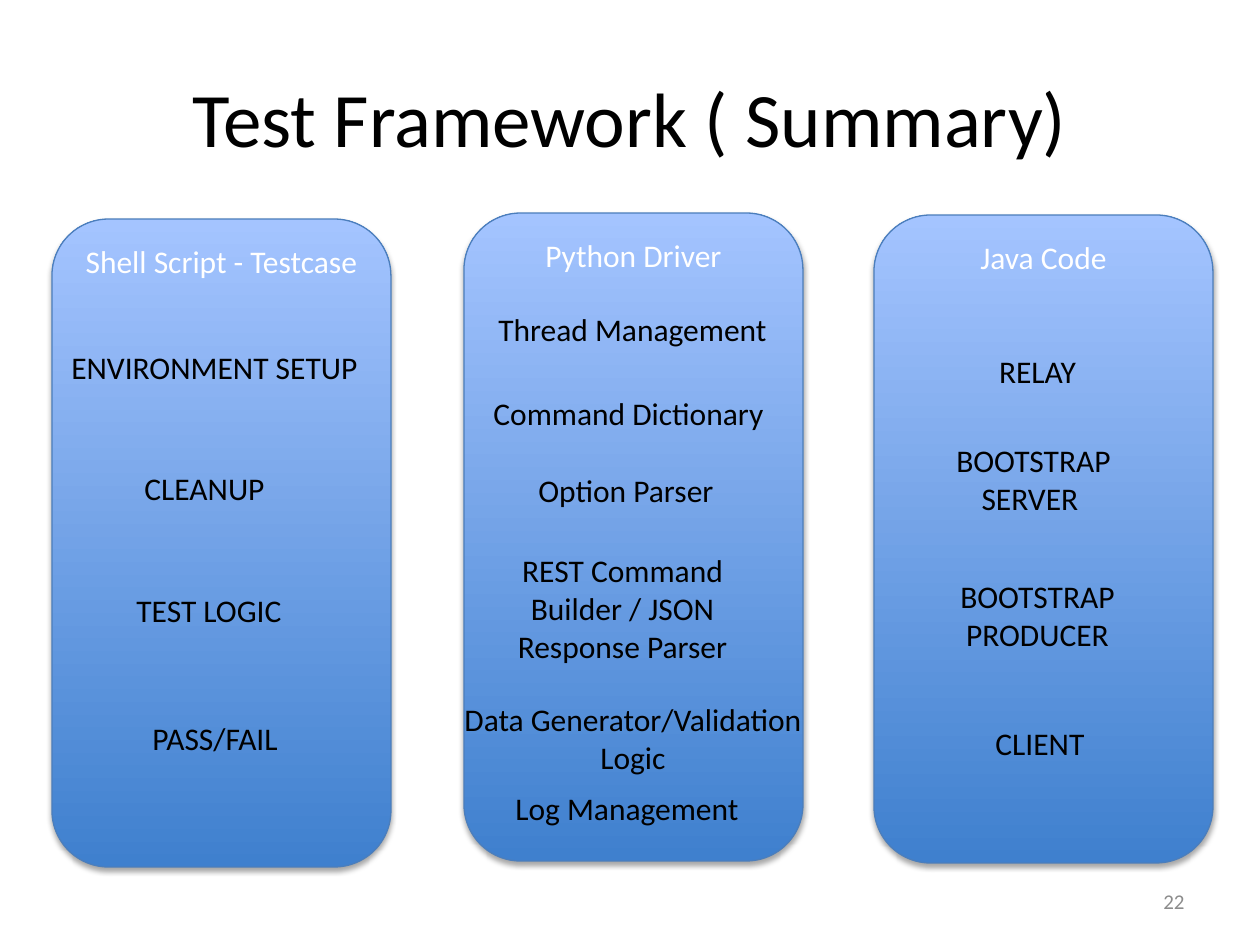
from lxml import etree
from pptx import Presentation
from pptx.dml.color import RGBColor
from pptx.enum.shapes import MSO_SHAPE
from pptx.enum.text import MSO_ANCHOR, MSO_AUTO_SIZE, PP_ALIGN
from pptx.oxml.ns import qn
from pptx.util import Emu, Pt

EMU_PER_PX = 914400 / 126
FONT = "Calibri"
COLORS = {
    "text": "000000",
    "heading": "FFFFFF",
    "number": "8C8C8C",
    "panel_bottom": "3F80CE",
    "panel_top": "A4C4FF",
    "panel_line": "4B7EBC",
    "shadow": "000000",
}
PANEL_WIDTH, PANEL_HEIGHT = 339, 648
LINE_HEIGHT, LABEL_PADDING = 38, 12

# Each panel: heading, left, top
PANELS = [
    ("Shell Script - Testcase", 52, 219),
    ("Python Driver", 464, 213),
    ("Java Code", 874, 215),
]

# Each label: lines, left, top, width
LABELS = [
    (["ENVIRONMENT SETUP"], 57, 342, 315),
    (["CLEANUP"], 131, 463, 147),
    (["TEST LOGIC"], 122, 585, 174),
    (["PASS/FAIL"], 137, 713, 156),
    (["Thread Management"], 484, 304, 297),
    (["Command Dictionary"], 479, 388, 299),
    (["Option Parser"], 524, 465, 204),
    (["Data Generator/Validation", "Logic"], 448, 694, 370),
    (["Log Management"], 501, 783, 252),
    (["RELAY"], 984, 346, 107),
    (["BOOTSTRAP", "SERVER "], 942, 435, 183),
    (["BOOTSTRAP", "PRODUCER"], 946, 571, 183),
    (["CLIENT"], 982, 718, 116),
]


def px(length):
    return Emu(round(length * EMU_PER_PX))


def color(name):
    return RGBColor.from_string(COLORS[name])


def write(shape, lines, size, color_name, align=PP_ALIGN.CENTER, anchor=MSO_ANCHOR.TOP):
    frame = shape.text_frame
    frame.text = "\n".join(lines)
    frame.vertical_anchor = anchor
    for para in frame.paragraphs:
        para.alignment = align
        for span in para.runs:
            span.font.name = FONT
            span.font.size = Pt(size)
            span.font.color.rgb = color(color_name)


def add_text(page, lines, left, top, width, height, size=18, color_name="text",
             wrap=True, **layout):
    box = page.shapes.add_textbox(px(left), px(top), px(width), px(height))
    write(box, lines, size, color_name, **layout)
    box.text_frame.word_wrap = wrap
    return box


def add_label(page, lines, left, top, width, wrap=False, line_count=None):
    height = LABEL_PADDING + LINE_HEIGHT * (line_count or len(lines))
    box = add_text(page, lines, left, top, width, height, wrap=wrap)
    box.text_frame.auto_size = MSO_AUTO_SIZE.SHAPE_TO_FIT_TEXT


def add_shadow(shape):
    shape.shadow.inherit = False
    effects = shape._element.spPr.find(qn("a:effectLst"))
    shadow = etree.SubElement(effects, qn("a:outerShdw"), blurRad=str(Pt(3.1)),
                              dist=str(Pt(1.8)), dir="5400000", rotWithShape="0")
    tint = etree.SubElement(shadow, qn("a:srgbClr"), val=COLORS["shadow"])
    etree.SubElement(tint, qn("a:alpha"), val="35000")


def add_panel(page, heading, left, top):
    panel = page.shapes.add_shape(MSO_SHAPE.ROUNDED_RECTANGLE, px(left), px(top),
                                  px(PANEL_WIDTH), px(PANEL_HEIGHT))
    panel.fill.gradient()
    panel.fill.gradient_angle = 90
    for stop, name in zip(panel.fill.gradient_stops, ("panel_bottom", "panel_top")):
        stop.color.rgb = color(name)
    panel.line.color.rgb = color("panel_line")
    panel.line.width = Pt(0.75)
    add_shadow(panel)
    write(panel, [heading], 18, "heading")


def main():
    deck = Presentation()
    deck.slide_width, deck.slide_height = px(1260), px(945)
    page = deck.slides.add_slide(deck.slide_layouts[6])

    # Title
    add_text(page, ["Test Framework ( Summary)"], 63, 38, 1134, 157, size=44,
             anchor=MSO_ANCHOR.MIDDLE)

    # Panels and their contents
    for panel in PANELS:
        add_panel(page, *panel)
    for label in LABELS:
        add_label(page, *label)
    add_label(page, ["REST Command Builder / JSON Response Parser"], 501, 545, 243,
              wrap=True, line_count=3)

    # Slide number
    add_text(page, ["22"], 903, 876, 294, 50, size=12, color_name="number",
             align=PP_ALIGN.RIGHT, anchor=MSO_ANCHOR.MIDDLE)

    deck.save("out.pptx")


if __name__ == "__main__":
    main()
